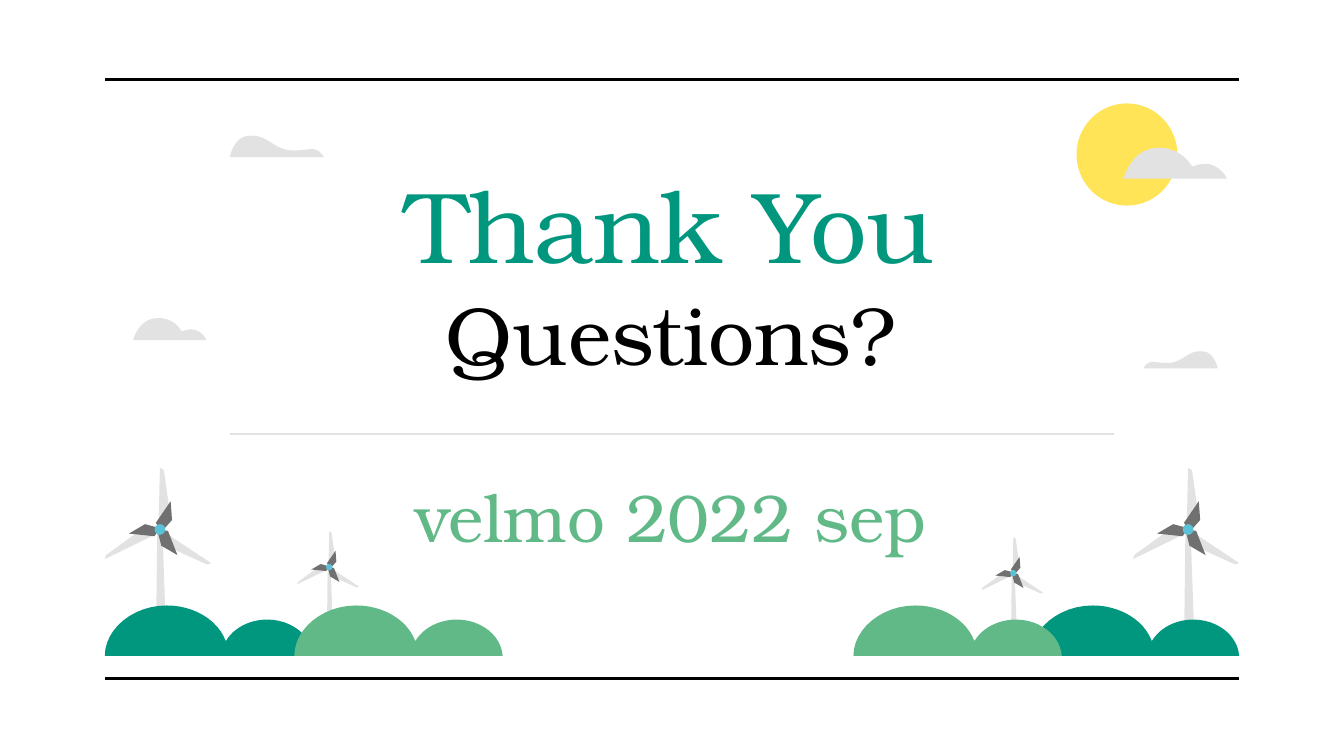
from lxml import etree
from pptx import Presentation, util as u
from pptx.dml.color import RGBColor
from pptx.enum import shapes, text

TEAL = RGBColor(0x01, 0x97, 0x7F)
GREEN = RGBColor(0x61, 0xB9, 0x88)
BLACK = RGBColor(0, 0, 0)
PALE = RGBColor(0xE2, 0xE2, 0xE2)
GREY = RGBColor(0x70, 0x70, 0x70)
BLUE = RGBColor(0x5A, 0xC1, 0xD7)
SUN = RGBColor(0xFF, 0xE4, 0x57)
FONT = "TeX Gyre Bonum"
STEPS = 12

deck = Presentation()
deck.slide_width = u.Inches(10)
deck.slide_height = u.Inches(5.625)
slide = deck.slides.add_slide(deck.slide_layouts[6])
cell = deck.slide_width // 100


def write(words, para, size=36, color=BLACK):
    run = para.add_run()
    run.text = words
    run.font.name = FONT
    run.font.size = u.Pt(size)
    run.font.color.rgb = color


def trace(home, path, color, x, y, wide=1, high=1):
    dots = [path[0]]
    for part in path[1:]:
        if len(part) == 2:
            dots.append(part)
            continue
        ends = list(zip((*dots[-1], *part)[::2], (*dots[-1], *part)[1::2]))
        for step in range(1, STEPS + 1):
            t = step / STEPS
            mix = ((1 - t) ** 3, 3 * t * (1 - t) ** 2, 3 * t * t * (1 - t), t ** 3)
            dots.append(tuple(sum(m * e[axis] for m, e in zip(mix, ends)) for axis in (0, 1)))
    spots = [(round((x + a * wide) * cell), round((y + b * high) * cell)) for a, b in dots]
    pen = home.build_freeform(*spots[0], scale=1.0)
    pen.add_line_segments(spots[1:], close=True)
    form = pen.convert_to_shape()
    form.shadow.inherit = False
    form.fill.solid()
    form.fill.fore_color.rgb = color
    form.line.fill.background()
    return form


for left, right, row, color in [
    (7.8, 92.2, 5.9, BLACK),
    (7.8, 92.2, 50.5, BLACK),
    (17.1, 82.9, 32.3, PALE),
]:
    rule = slide.shapes.add_connector(
        shapes.MSO_CONNECTOR.STRAIGHT,
        *[round(n * cell) for n in (left, row, right, row)])
    rule.line.color.rgb = color
    rule.line.width = u.Pt(1.5)
    etree.SubElement(
        rule.element.spPr,
        "{http://schemas.openxmlformats.org/drawingml/2006/main}effectLst")

mill = [
    ([(-0.2, 0.3), (-0.3, 8.9), (0.5, 8.9), (0.2, 0.4)], PALE),
    ([(0.2, 0.1), (0, 0.3), (0.2, 1.1), (3.5, 2.6), (3.8, 2.5)], PALE),
    ([(-0.2, 0), (0.1, 1.2), (1.3, 1.9), (0.6, 0.1)], GREY),
    ([(-1.1, -0.2), (-4, 1.9), (-4.1, 2.2), (-0.2, 0.3), (-0.3, -0.1)], PALE),
    ([(-1.1, -0.4), (-2.3, 0.3), (-0.4, 0.5), (0, -0.1)], GREY),
    ([(0, -4.6), (-0.1, -0.2), (0.2, -0.1), (0.8, -0.8), (0.3, -4.4)], PALE),
    ([(0.8, -2.1), (-0.3, -0.5), (0.1, 0.2), (0.9, -0.7)], GREY),
]
for x, y, size in [(24.5, 42.2, 0.58), (75.4, 42.65, 0.58), (11.9, 39.4, 1), (88.4, 39.4, 1)]:
    group = slide.shapes.add_group_shape()
    for path, color in mill:
        trace(group.shapes, path, color, x, y, size, size)
    rad = 0.4 * size
    hub = group.shapes.add_shape(
        shapes.MSO_SHAPE.OVAL,
        *[round(n * cell) for n in (x - rad, y - rad, 2 * rad, 2 * rad)])
    hub.shadow.inherit = False
    hub.fill.solid()
    hub.fill.fore_color.rgb = BLUE
    hub.line.fill.background()

for top, high, lines in [
    (11.1, 21, [("Thank You", 54, TEAL), ("Questions?", 44, BLACK)]),
    (34.4, 4.1, [("velmo 2022 sep", 36, GREEN)]),
]:
    box = slide.shapes.add_textbox(*[round(n * cell) for n in (17.1, top, 65.6, high)])
    frame = box.text_frame
    frame.word_wrap = True
    frame.vertical_anchor = text.MSO_ANCHOR.TOP
    frame.margin_left = frame.margin_right = cell
    frame.margin_top = frame.margin_bottom = cell
    para = frame.paragraphs[0]
    para.alignment = text.PP_ALIGN.CENTER
    for nth, (words, size, color) in enumerate(lines):
        if nth:
            para.add_line_break()
        write(words, para, size=size, color=color)

hill = [
    (4.6, -3.75), (2.1, -3.75, 0, -2, 0, 0), (15.5, 0),
    (15.4, -1.5, 13.9, -2.7, 12.1, -2.7), (10.8, -2.7, 9.6, -2.1, 9, -1.1),
    (8.4, -2.7, 6.6, -3.75, 4.6, -3.75),
]
puff = [
    (2.6, -2.3), (0.6, -2.3, 0, 0, 0, 0), (7.7, 0),
    (7.3, -0.8, 6.6, -1.1, 6.1, -1.1), (5.7, -1.1, 5.4, -1, 5.1, -0.9),
    (4.8, -1.4, 4.1, -2.3, 2.6, -2.3),
]
wisp = [
    (1.5, -1.6), (0.3, -1.6, 0, 0, 0, 0), (7, 0),
    (6.7, -0.5, 6.4, -0.6, 6.1, -0.6), (5.8, -0.6, 5.4, -0.5, 4.8, -0.5),
    (4.5, -0.5), (3.1, -0.7, 2.9, -1.6, 1.6, -1.6),
]

sun = slide.shapes.add_shape(
    shapes.MSO_SHAPE.OVAL, *[round(n * cell) for n in (80.1, 7.7, 7.5, 7.6)])
sun.shadow.inherit = False
sun.fill.solid()
sun.fill.fore_color.rgb = SUN
sun.line.fill.background()
cloud = trace(slide.shapes, puff, PALE, 83.6, 13.3)
slide.shapes.add_group_shape([sun, cloud])

for path, color, x, y, wide, high in [
    (hill, TEAL, 7.8, 48.8, 1, 1),
    (hill, GREEN, 21.9, 48.8, 1, 1),
    (hill, TEAL, 76.7, 48.8, 1, 1),
    (hill, GREEN, 63.5, 48.8, 1, 1),
    (puff, PALE, 9.9, 25.3, 0.71, 0.71),
    (wisp, PALE, 17.1, 11.7, 1, 1),
    (wisp, PALE, 90.6, 27.4, -0.79, 0.79),
]:
    trace(slide.shapes, path, color, x, y, wide, high)

deck.save("out.pptx")
